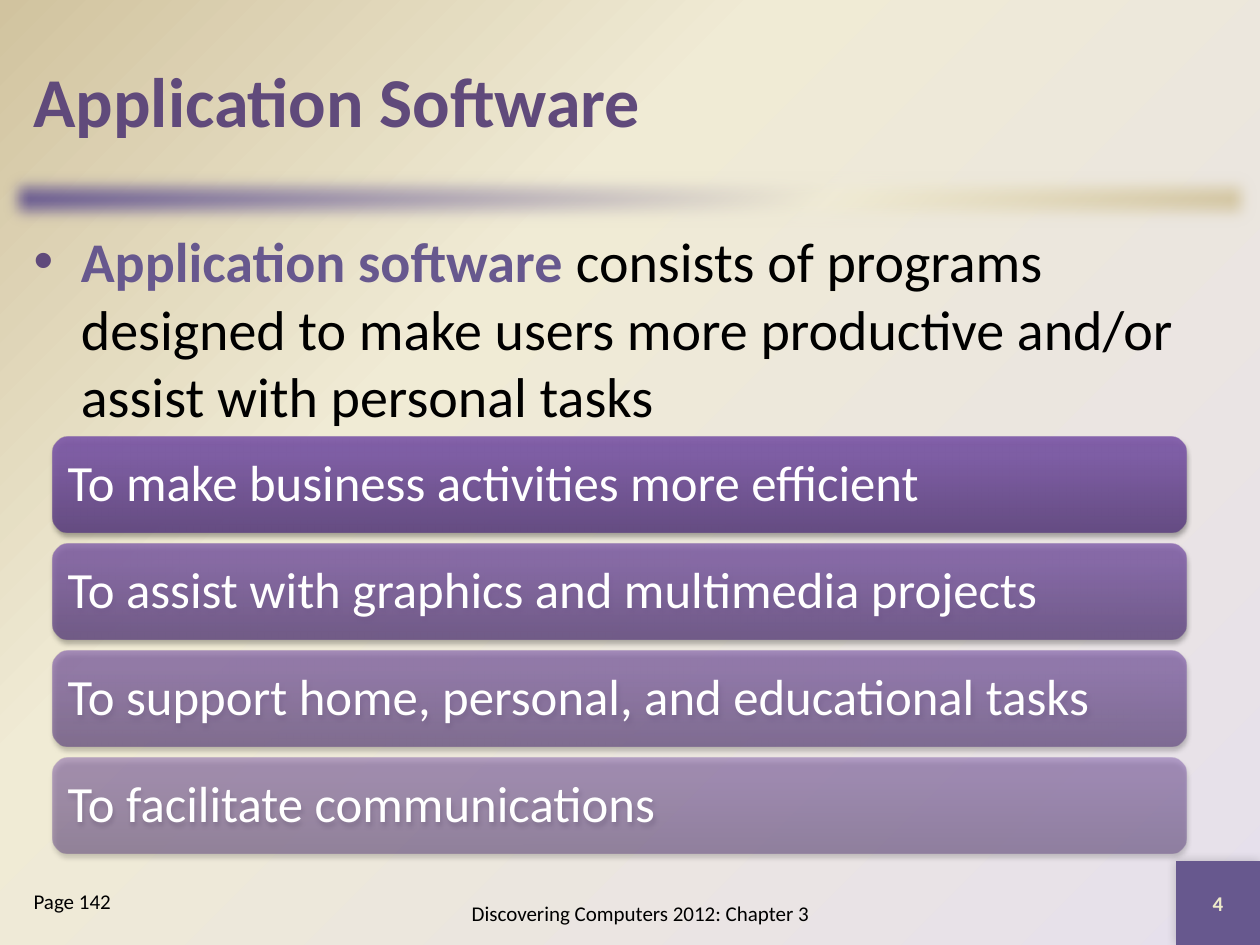
from lxml.etree import SubElement
from pptx import Presentation
from pptx.dml.color import RGBColor
from pptx.enum.shapes import MSO_SHAPE
from pptx.enum.text import MSO_ANCHOR, MSO_AUTO_SIZE, PP_ALIGN
from pptx.oxml.ns import qn
from pptx.util import Pt

PLUM = RGBColor(0x60, 0x4A, 0x7B)
VIOLET = RGBColor(0x67, 0x58, 0x8E)
LILAC = RGBColor(0xE6, 0xE0, 0xEC)
CREAM = RGBColor(0xF0, 0xEB, 0xD5)
SAND = RGBColor(0xD1, 0xC3, 0x9F)
STRAW = RGBColor(0xEE, 0xEB, 0xCA)
DEEP = RGBColor(0x5F, 0x44, 0x80)
GRAPE = RGBColor(0x7B, 0x58, 0xA6)
BRIGHT = RGBColor(0x7C, 0x57, 0xA8)
BLACK = RGBColor(0, 0, 0)
WHITE = RGBColor(255, 255, 255)
FONT = "Calibri"
GOALS = [
    ("To make business activities more efficient", 90),
    ("To assist with graphics and multimedia projects", 77),
    ("To support home, personal, and educational tasks", 63),
    ("To facilitate communications", 50),
]


def add_tag(parent, tag, **attrs):
    """Append a drawing element with the given attributes."""
    return SubElement(parent, qn(f"a:{tag}"), {k: str(v) for k, v in attrs.items()})


def add_tint(parent, color, alpha=100):
    """Append a colour with an opacity in percent."""
    tint = add_tag(parent, "srgbClr", val=color)
    if alpha < 100:
        add_tag(tint, "alpha", val=alpha * 1000)


def blend(fill, root, stops, alpha=100, angle=None):
    """Fill with a linear gradient, or a round one from the lower right corner."""
    fill.gradient()
    grad = next(root.iter(qn("a:gradFill")))
    for child in list(grad):
        grad.remove(child)
    marks = add_tag(grad, "gsLst")
    for place, color in stops:
        add_tint(add_tag(marks, "gs", pos=place * 1000), color, alpha)
    if angle is None:
        add_tag(add_tag(grad, "path", path="circle"), "fillToRect", l=100000, t=100000)
    else:
        add_tag(grad, "lin", ang=angle * 60000, scaled=0)


def add_shade(shape, alpha, blur, dist, angle):
    """Give a shape an outer shadow."""
    shade = add_tag(shape._element.spPr.find(qn("a:effectLst")), "outerShdw",
                    blurRad=Pt(blur), dist=Pt(dist), dir=angle * 60000, rotWithShape=0)
    add_tint(shade, BLACK, alpha)


def place(shape, box):
    """Move a shape into a box given in points."""
    shape.left, shape.top, shape.width, shape.height = map(Pt, box)


def add_block(slide, kind, box):
    """Add a preset shape without line or shadow."""
    shape = slide.shapes.add_shape(kind, *map(Pt, box))
    shape.shadow.inherit = False
    shape.line.fill.background()
    return shape


def write(shape, text, size=12, color=BLACK, bold=False, align=PP_ALIGN.LEFT,
          anchor=MSO_ANCHOR.MIDDLE, inset=None, space=None):
    """Append formatted text to the first paragraph of a shape."""
    frame = shape.text_frame
    frame.word_wrap = True
    frame.auto_size = MSO_AUTO_SIZE.NONE
    frame.vertical_anchor = anchor
    if inset is not None:
        frame.margin_left = frame.margin_right = Pt(inset)
        frame.margin_top = frame.margin_bottom = Pt(inset)
    para = frame.paragraphs[0]
    para.alignment = align
    para.space_before = Pt(0)
    para.line_spacing = space
    run = para.add_run()
    run.text = text
    font = run.font
    font.name, font.size, font.bold = FONT, Pt(size), bold
    font.color.rgb = color


def set_mark(shape, char=None):
    """Set or clear the bullet of the first paragraph."""
    props = shape.text_frame.paragraphs[0]._p.get_or_add_pPr()
    if char is None:
        props.set("marL", "0")
        props.set("indent", "0")
        add_tag(props, "buNone")
        return
    props.set("marL", str(Pt(27)))
    props.set("indent", str(Pt(-27)))
    add_tint(add_tag(props, "buClr"), PLUM)
    add_tag(props, "buFont", typeface="Arial")
    add_tag(props, "buChar", char=char)


def add_rule(slide, box):
    """Draw the soft band under the title."""
    rule = add_block(slide, MSO_SHAPE.RECTANGLE, box)
    props = rule._element.spPr
    blend(rule.fill, props, [(0, VIOLET), (65, CREAM), (100, SAND)], angle=45)
    add_tag(props.find(qn("a:effectLst")), "softEdge", rad=Pt(10))


def add_title(slide, box):
    """Place the title."""
    title = slide.shapes.title
    place(title, box)
    write(title, "Application Software", size=40, color=PLUM, bold=True)


def add_body(slide, box):
    """Place the definition as a bullet."""
    body = slide.placeholders[1]
    place(body, box)
    set_mark(body, "•")
    write(body, "Application software ", size=32, color=VIOLET, bold=True,
          anchor=MSO_ANCHOR.TOP)
    write(body, "consists of programs designed to make users more productive "
          "and/or assist with personal tasks", size=32, anchor=MSO_ANCHOR.TOP)


def add_goals(slide, box, gap=6.4):
    """Stack the fading goal bars at equal gaps in a box."""
    left, top, width, height = box
    tall = (height - gap * (len(GOALS) - 1)) / len(GOALS)
    for row, (text, alpha) in enumerate(GOALS):
        bar = add_block(slide, MSO_SHAPE.ROUNDED_RECTANGLE,
                        (left, top + row * (tall + gap), width, tall))
        blend(bar.fill, bar._element.spPr,
              [(0, DEEP), (80, GRAPE), (100, BRIGHT)], alpha, 270)
        add_shade(bar, 35, 3.1, 1.8, 90)
        write(bar, text, size=29, color=WHITE, inset=6, space=0.9)


def add_foot(slide, box):
    """Place page, book and slide number along the foot."""
    left, top, width, height = box
    page = slide.placeholders[2]
    place(page, (left + 12, top + 12, 132, 36))
    set_mark(page)
    write(page, "Page 142", anchor=MSO_ANCHOR.TOP)
    book = slide.shapes.add_textbox(*map(Pt, (left + 216, top + 12, 300, 36)))
    write(book, "Discovering Computers 2012: Chapter 3", align=PP_ALIGN.CENTER)
    tab = add_block(slide, MSO_SHAPE.RECTANGLE,
                    (left + width - height, top, height, height))
    tab.fill.solid()
    tab.fill.fore_color.rgb = VIOLET
    add_shade(tab, 20, 6, 0, 225)
    write(tab, "4", color=STRAW, bold=True, align=PP_ALIGN.CENTER)


def main():
    """Build and save the slide."""
    deck = Presentation()
    deck.slide_width, deck.slide_height = Pt(720), Pt(540)
    slide = deck.slides.add_slide(deck.slide_layouts[3])
    blend(slide.background.fill, slide._element,
          [(0, LILAC), (65, CREAM), (100, SAND)])
    add_rule(slide, (0, 96, 720, 36))
    add_title(slide, (12, 12, 696, 90))
    add_body(slide, (12, 126, 696, 366))
    add_goals(slide, (30, 249.6, 648, 238.4))
    add_foot(slide, (0, 492, 720, 48))
    deck.save("out.pptx")


if __name__ == "__main__":
    main()
